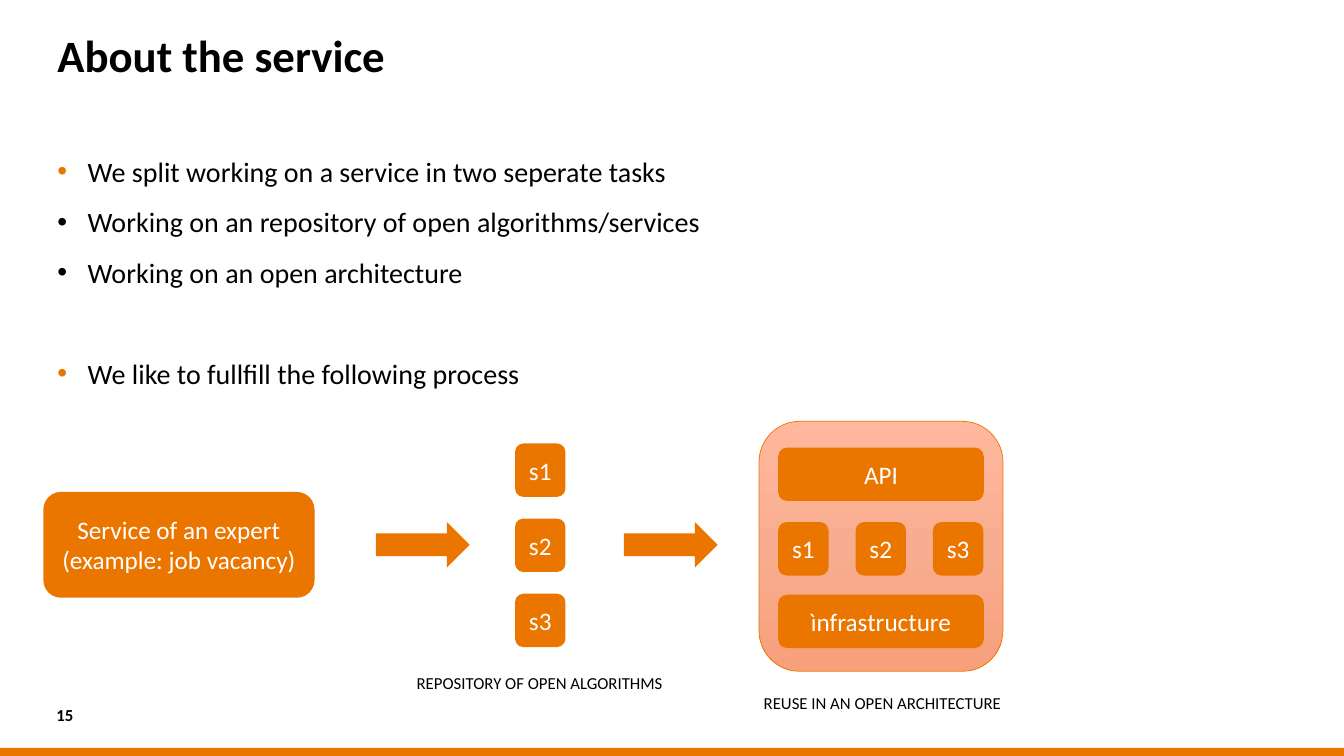
from copy import deepcopy

from lxml import etree
from pptx import Presentation
from pptx import util as u
from pptx.dml.color import RGBColor
from pptx.enum import shapes, text
from pptx.oxml import ns

ORANGE = RGBColor(0xEA, 0x76, 0x00)
BLACK = RGBColor(0, 0, 0)
WHITE = RGBColor(0xFF, 0xFF, 0xFF)
PANEL_STOPS = (RGBColor(0xFF, 0xB8, 0x9D), RGBColor(0xF8, 0xAD, 0x90),
               RGBColor(0xF8, 0xA0, 0x7C))

CELL = 0.1  # inches per grid column and row
COLUMNS, ROWS = 133.33, 75
LINE_PITCH = 36.4  # points from one list line to the next


class Slide:
    """Holds the style and the current page; places are in grid cells."""

    font = "Calibri"
    kinds = shapes.MSO_SHAPE

    def __init__(self, deck):
        self.page = deck.slides.add_slide(deck.slide_layouts[1])

    def lengths(self, place):
        return [u.Inches(cells * CELL) for cells in place]

    def format_text(self, frame, size, color, bold=False, align=text.PP_ALIGN.LEFT):
        for para in frame.paragraphs:
            para.alignment = align
            for span in para.runs:
                span.font.name = self.font
                span.font.size = u.Pt(size)
                span.font.bold = bold
                span.font.color.rgb = color

    def set_frame(self, frame, margin, anchor, wrap=True):
        frame.word_wrap = wrap
        frame.auto_size = text.MSO_AUTO_SIZE.NONE
        frame.vertical_anchor = anchor
        frame.margin_left = frame.margin_right = u.Inches(margin)
        frame.margin_top = frame.margin_bottom = u.Inches(margin)

    def fill_placeholder(self, box, place, lines):
        box.left, box.top, box.width, box.height = self.lengths(place)
        self.set_frame(box.text_frame, 0, text.MSO_ANCHOR.TOP)
        box.text_frame.text = "\n".join(lines)
        return box.text_frame

    def title(self, place, wording):
        frame = self.fill_placeholder(self.page.shapes.title, place, [wording])
        frame.margin_top = u.Inches(0.08)
        frame.paragraphs[0].line_spacing = 0.8
        self.format_text(frame, 32, BLACK, bold=True)

    def bullets(self, place, items):
        """Each item is (wording, level, lines skipped before it)."""
        frame = self.fill_placeholder(self.page.placeholders[1], place,
                                      [wording for wording, _, _ in items])
        for index, (para, (_, level, skipped)) in enumerate(zip(frame.paragraphs, items)):
            para.level = level
            props = para._p.get_or_add_pPr()
            props.set("marL", str(u.Inches(0.3)))
            props.set("indent", str(u.Inches(-0.3)))
            tint = etree.SubElement(props, ns.qn("a:buClr"))
            etree.SubElement(tint, ns.qn("a:srgbClr"), val=str(BLACK if level else ORANGE))
            etree.SubElement(props, ns.qn("a:buFont"), typeface="Arial")
            etree.SubElement(props, ns.qn("a:buChar"), char="•")
            para.line_spacing = 1.0
            para.space_before = u.Pt(6 + skipped * LINE_PITCH if index else 0)
            para.space_after = u.Pt(6)
        self.format_text(frame, 20, BLACK)

    def shape(self, kind, place, wording=""):
        box = self.page.shapes.add_shape(kind, *self.lengths(place))
        box.shadow.inherit = False
        box.fill.solid()
        box.fill.fore_color.rgb = ORANGE
        box.line.fill.background()
        if wording:
            self.set_frame(box.text_frame, 0.05, text.MSO_ANCHOR.MIDDLE)
            box.text_frame.text = wording
            self.format_text(box.text_frame, 18, WHITE, align=text.PP_ALIGN.CENTER)
        return box

    def block(self, place, wording):
        return self.shape(self.kinds.ROUNDED_RECTANGLE, place, wording)

    def arrow(self, left, top):
        return self.shape(self.kinds.RIGHT_ARROW, (left, top, 9.3, 4.5))

    def panel(self, place):
        box = self.shape(self.kinds.ROUNDED_RECTANGLE, place)
        box.line.color.rgb = ORANGE
        box.line.width = u.Pt(0.5)
        box.fill.gradient()
        box.fill.gradient_angle = 270
        first = box._element.spPr.find(".//" + ns.qn("a:gs"))
        first.addnext(deepcopy(first))
        for index, (stop, color) in enumerate(zip(box.fill.gradient_stops, PANEL_STOPS)):
            stop.position = index / 2
            stop.color.rgb = color

    def label(self, place, wording, bold=False, align=text.PP_ALIGN.CENTER,
              anchor=text.MSO_ANCHOR.TOP):
        box = self.page.shapes.add_textbox(*self.lengths(place))
        self.set_frame(box.text_frame, 0, anchor, wrap=False)
        box.text_frame.text = wording
        self.format_text(box.text_frame, 12, BLACK, bold, align)


def main():
    deck = Presentation()
    deck.slide_width = u.Inches(COLUMNS * CELL)
    deck.slide_height = u.Inches(ROWS * CELL)
    slide = Slide(deck)

    # Footer band and page number
    slide.shape(slide.kinds.RECTANGLE, (0, ROWS - 0.8, COLUMNS, 0.8))
    slide.label((5.6, 69.7, 4.3, 2.4), "15", bold=True,
                align=text.PP_ALIGN.LEFT, anchor=text.MSO_ANCHOR.MIDDLE)

    # Title and list
    slide.title((5.7, 3, 121.9, 6.6), "About the service")
    slide.bullets((5.7, 15.3, 98.1, 48.7), [
        ("We split working on a service in two seperate tasks", 0, 0),
        ("Working on an repository of open algorithms/services", 1, 0),
        ("Working on an open architecture", 1, 0),
        ("We like to fullfill the following process", 0, 1),
    ])

    # Starting point and arrows
    slide.block((4.3, 48.8, 26.9, 10.5), "Service of an expert\n(example: job vacancy)")
    for left in (37.3, 61.9):
        slide.arrow(left, 51.8)

    # Repository column and architecture row
    slide.panel((75.3, 41.8, 24.2, 24.8))
    for index, service in enumerate(("s1", "s2", "s3")):
        slide.block((51.1, 44 + 7.45 * index, 5, 5.3), service)
        slide.block((77.2 + 7.68 * index, 51.8, 5, 5.3), service)
    for top, layer in ((44.4, "API"), (59, "ìnfrastructure")):
        slide.block((77.2, top, 20.4, 5.3), layer)

    # Captions
    slide.label((41.2, 66.7, 24.7, 2), "REPOSITORY OF OPEN ALGORITHMS")
    slide.label((75.6, 68.7, 23.9, 2), "REUSE IN AN OPEN ARCHITECTURE")

    deck.save("out.pptx")


if __name__ == "__main__":
    main()
